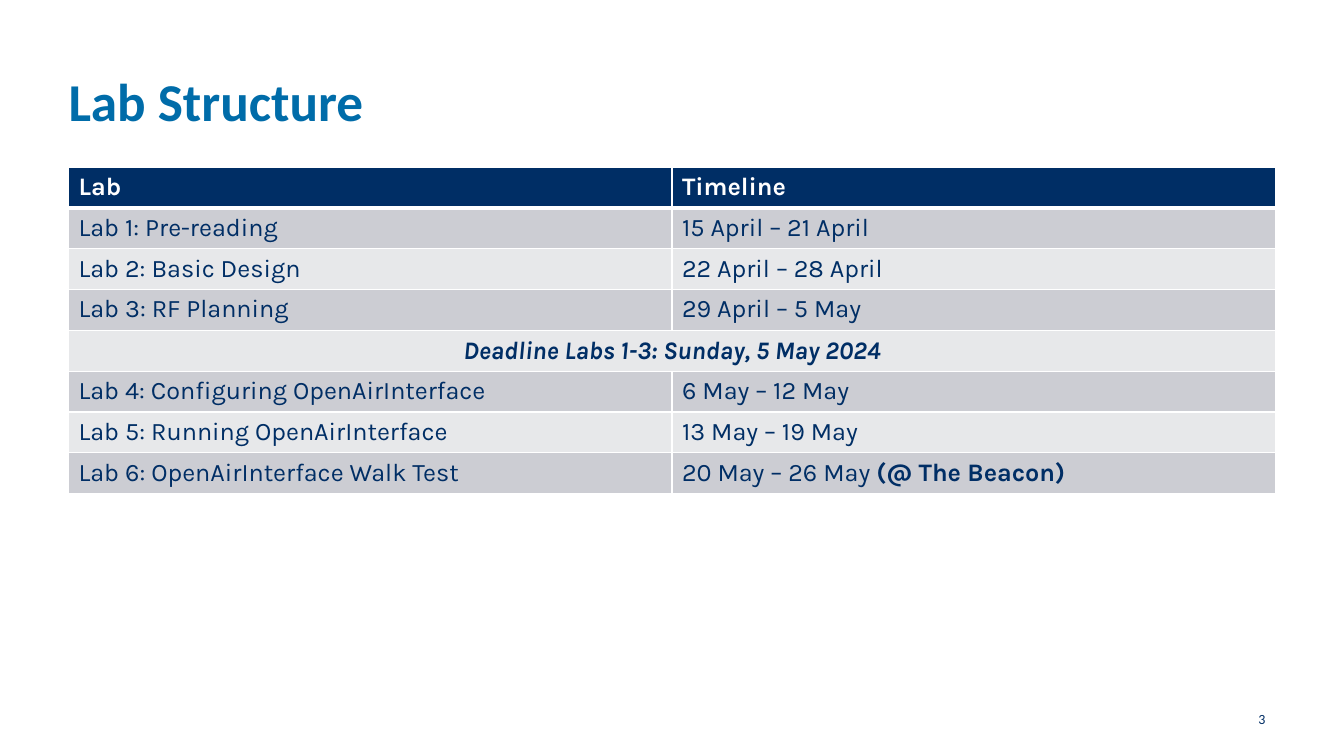
import pptx
import pptx.dml.color
import pptx.enum.text
import pptx.oxml
import pptx.oxml.ns
import pptx.util

COLORS = {"navy": "002E65", "blue": "006CA9", "white": "FFFFFF",
          "dark band": "CCCDD3", "light band": "E7E8EA"}
ALIGN = pptx.enum.text.PP_ALIGN
ANCHOR = pptx.enum.text.MSO_ANCHOR

deck = pptx.Presentation()
deck.slide_width = pptx.util.Inches(13.33)
deck.slide_height = pptx.util.Inches(7.5)
slide = deck.slides.add_slide(deck.slide_layouts[6])

# Grid: equal side margins, two columns, eight rows
margin = pptx.util.Inches(0.68)
content_width = deck.slide_width - 2 * margin
table_top = pptx.util.Inches(1.66)
table_height = pptx.util.Inches(3.24)


def write(paragraph, text, color, **formats):
    run = paragraph.add_run()
    run.text = text
    run.font.color.rgb = pptx.dml.color.RGBColor.from_string(COLORS[color])
    for name, value in formats.items():
        setattr(run.font, name, value)


def add_border(cell, side, points):
    cell._tc.get_or_add_tcPr().append(pptx.oxml.parse_xml(
        f'<a:{side} {pptx.oxml.ns.nsdecls("a")} w="{pptx.util.Pt(points)}">'
        f'<a:solidFill><a:srgbClr val="{COLORS["white"]}"/></a:solidFill></a:{side}>'))


# Title
title = slide.shapes.add_textbox(margin, margin, content_width, pptx.util.Inches(0.87)).text_frame
title_format = {"word_wrap": True, "margin_left": 0, "margin_top": 0,
                "margin_right": 0, "margin_bottom": 0}
for name, value in title_format.items():
    setattr(title, name, value)
write(title.paragraphs[0], "Lab Structure", "blue",
      name="Calibri", size=pptx.util.Pt(38), bold=True)

# Lab schedule: a row with one entry spans both columns
deadline = "Deadline Labs 1-3: Sunday, 5 May 2024"
schedule = [
    ("Lab", "Timeline"),
    ("Lab 1: Pre-reading", "15 April – 21 April"),
    ("Lab 2: Basic Design", "22 April – 28 April"),
    ("Lab 3: RF Planning", "29 April – 5 May"),
    (deadline,),
    ("Lab 4: Configuring OpenAirInterface", "6 May – 12 May"),
    ("Lab 5: Running OpenAirInterface", "13 May – 19 May"),
    ("Lab 6: OpenAirInterface Walk Test", "20 May – 26 May "),
]
timetable = slide.shapes.add_table(len(schedule), 2, margin, table_top,
                                   content_width, table_height).table
body_format = {"name": "Karla", "size": pptx.util.Pt(18)}

for row, entries in enumerate(schedule):
    is_header = row == 0
    is_deadline = len(entries) == 1
    band = "navy" if is_header else "dark band" if row % 2 else "light band"
    for column in range(2):
        cell = timetable.cell(row, column)
        add_border(cell, "lnL", 1)
        add_border(cell, "lnR", 1)
        add_border(cell, "lnT", 3 if row == 1 else 1)
        add_border(cell, "lnB", 3 if is_header else 1)
        cell.fill.solid()
        cell.fill.fore_color.rgb = pptx.dml.color.RGBColor.from_string(COLORS[band])
    for column, entry in enumerate(entries):
        write(timetable.cell(row, column).text_frame.paragraphs[0], entry,
              "white" if is_header else "navy",
              bold=is_header or is_deadline, italic=is_deadline, **body_format)
    if is_deadline:
        deadline_cell = timetable.cell(row, 0)
        deadline_cell.merge(timetable.cell(row, 1))
        deadline_cell.vertical_anchor = ANCHOR.MIDDLE
        deadline_cell.text_frame.paragraphs[0].alignment = ALIGN.CENTER

# Venue of the last lab
last_timeline = timetable.cell(len(schedule) - 1, 1).text_frame.paragraphs[0]
write(last_timeline, "(@ The Beacon)", "navy", bold=True, **body_format)

# Page number, flush with the right margin
number_width = pptx.util.Inches(2.89)
page_number = slide.shapes.add_textbox(
    deck.slide_width - margin - number_width, pptx.util.Inches(6.93),
    number_width, pptx.util.Inches(0.4)).text_frame
page_number.word_wrap = True
page_number.vertical_anchor = ANCHOR.MIDDLE
page_number.paragraphs[0].alignment = ALIGN.RIGHT
write(page_number.paragraphs[0], "3", "navy", name="Calibri", size=pptx.util.Pt(10))

deck.save("out.pptx")
